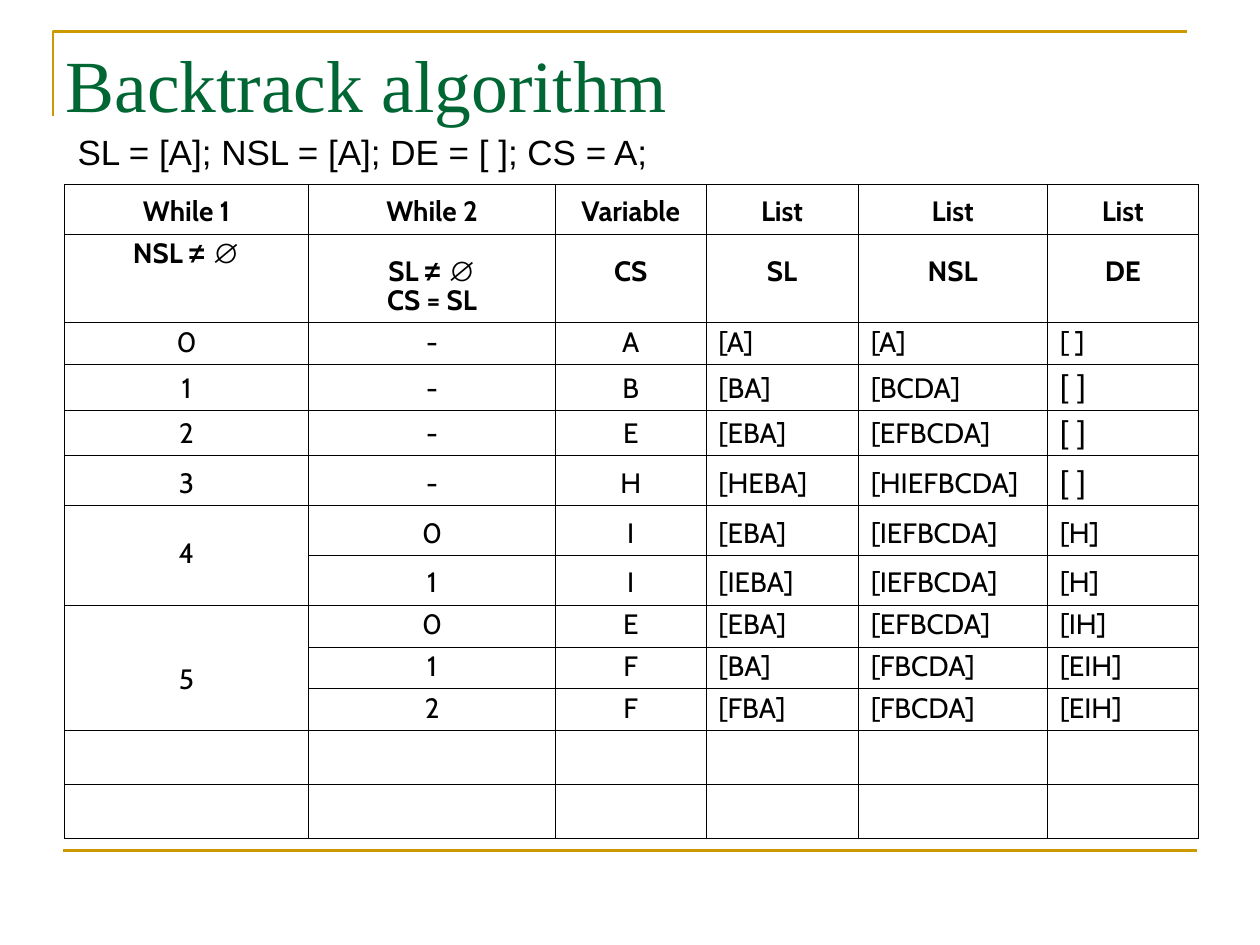
from lxml.etree import SubElement
from pptx import Presentation
from pptx.dml.color import RGBColor
from pptx.enum.shapes import MSO_CONNECTOR
from pptx.enum.text import MSO_ANCHOR, MSO_AUTO_SIZE, PP_ALIGN
from pptx.oxml.ns import qn
from pptx.util import Cm, Pt

BLACK, GREEN, GOLD = "000000", "006633", "CC9900"
COL_WIDTHS = [4.92, 4.98, 3.03, 3.07, 3.81, 3.05]
ROW_HEIGHTS = [1, 1.78, 0.84, 0.91, 0.91, 1.01, 1, 1, 0.84, 0.84, 0.84, 1.09, 1.09]
HEADINGS = [
    ["While 1", "While 2", "Variable", "List", "List", "List"],
    ["NSL ≠ ∅", "SL ≠ ∅\nCS = SL", "CS", "SL", "NSL", "DE"],
]
STEPS = [
    ["0", "-", "A", "[A]", "[A]", "[ ]"],
    ["1", "-", "B", "[BA]", "[BCDA]", "[ ]"],
    ["2", "-", "E", "[EBA]", "[EFBCDA]", "[ ]"],
    ["3", "-", "H", "[HEBA]", "[HIEFBCDA]", "[ ]"],
    ["4", "0", "I", "[EBA]", "[IEFBCDA]", "[H]"],
    ["", "1", "I", "[IEBA]", "[IEFBCDA]", "[H]"],
    ["5", "0", "E", "[EBA]", "[EFBCDA]", "[IH]"],
    ["", "1", "F", "[BA]", "[FBCDA]", "[EIH]"],
    ["", "2", "F", "[FBA]", "[FBCDA]", "[EIH]"],
]
MERGES = [(6, 7), (8, 10)]  # first and last row of each group in column 0
RAISED = {(1, 0): 1.07, (1, 2): 0.72, (1, 3): 0.72, (1, 4): 0.72,
          (1, 5): 0.72, (6, 0): 0.72, (8, 0): 0.72}  # bottom margins
LARGE_BRACKETS = [(3, 5), (4, 5), (5, 5)]


def rgb(color):
    return RGBColor.from_string(color)


def add_run(p, text, name, size, color=BLACK, bold=False):
    r = p.add_run()
    r.text = text
    for key, value in {"name": name, "size": Pt(size), "bold": bold}.items():
        setattr(r.font, key, value)
    r.font.color.rgb = rgb(color)


def format_line(sp):
    sp.line.color.rgb = rgb(GOLD)
    sp.line.width = Pt(1.5)


def add_frame(s):
    """Draw the corner line above the title and the line below the table."""
    builder = s.shapes.build_freeform(Cm(1.07), Cm(2.34))
    builder.add_line_segments([(Cm(1.07), Cm(0.64)), (Cm(23.93), Cm(0.64))], close=False)
    corner = builder.convert_to_shape()
    corner.shadow.inherit = False
    corner.fill.background()
    format_line(corner)
    rule = s.shapes.add_connector(
        MSO_CONNECTOR.STRAIGHT, Cm(1.27), Cm(17.15), Cm(24.13), Cm(17.15))
    format_line(rule)
    SubElement(rule._element.spPr, qn("a:effectLst"))


def format_title(s):
    title = s.shapes.title
    box = {"left": Cm(1.07), "top": Cm(0.64), "width": Cm(22.86), "height": Cm(2.06)}
    for key, value in box.items():
        setattr(title, key, value)
    tf = title.text_frame
    tf.vertical_anchor = MSO_ANCHOR.BOTTOM
    tf.auto_size = MSO_AUTO_SIZE.NONE
    p = tf.paragraphs[0]
    p.alignment = PP_ALIGN.LEFT
    add_run(p, "Backtrack algorithm", "Times New Roman", 42, GREEN)


def add_start_state(s):
    tf = s.shapes.add_textbox(Cm(1.27), Cm(2.51), Cm(12.09), Cm(1.12)).text_frame
    tf.word_wrap = False
    p = tf.paragraphs[0]
    p.alignment = PP_ALIGN.CENTER
    add_run(p, "SL = [A]; NSL = [A]; DE = [ ]; CS = A;", "Arial", 20)


def format_cell(cell):
    tcPr = cell._tc.get_or_add_tcPr()
    for side in ("lnL", "lnR", "lnT", "lnB"):
        ln = SubElement(tcPr, qn(f"a:{side}"), w=str(Pt(0.45)))
        fill = SubElement(ln, qn("a:solidFill"))
        SubElement(fill, qn("a:srgbClr"), val=BLACK)
    cell.fill.background()
    cell.vertical_anchor = MSO_ANCHOR.BOTTOM


def fill_cell(cell, text, align, bold, large):
    tf = cell.text_frame
    for i, line in enumerate(text.split("\n")):
        p = tf.add_paragraph() if i else tf.paragraphs[0]
        p.alignment = align
        p.line_spacing = 0.87
        words, sign, rest = line.partition("≠")
        add_run(p, words, "Arial" if large else "Cabin", 18 if large else 16, bold=bold)
        if sign:
            add_run(p, sign + rest, "Arial", 16, bold=bold)


def add_trace_table(s):
    table = s.shapes.add_table(
        len(ROW_HEIGHTS), len(COL_WIDTHS), Cm(1.3), Cm(3.72),
        Cm(sum(COL_WIDTHS)), Cm(sum(ROW_HEIGHTS))).table
    table.first_row = table.horz_banding = False
    for col, width in zip(table.columns, COL_WIDTHS):
        col.width = Cm(width)
    for row, height in zip(table.rows, ROW_HEIGHTS):
        row.height = Cm(height)
        for cell in row.cells:
            format_cell(cell)
    for first, last in MERGES:
        table.cell(first, 0).merge(table.cell(last, 0))
    for i, texts in enumerate(HEADINGS + STEPS):
        heading = i < len(HEADINGS)
        for j, text in enumerate(texts):
            if text:
                align = PP_ALIGN.CENTER if heading or j < 3 else PP_ALIGN.LEFT
                fill_cell(table.cell(i, j), text, align, heading, (i, j) in LARGE_BRACKETS)
    for position, margin in RAISED.items():
        table.cell(*position).margin_bottom = Cm(margin)


def main():
    prs = Presentation()
    prs.slide_width, prs.slide_height = Cm(25.4), Cm(19.05)
    s = prs.slides.add_slide(prs.slide_layouts[5])
    add_frame(s)
    format_title(s)
    add_start_state(s)
    add_trace_table(s)
    prs.save("out.pptx")


if __name__ == "__main__":
    main()
